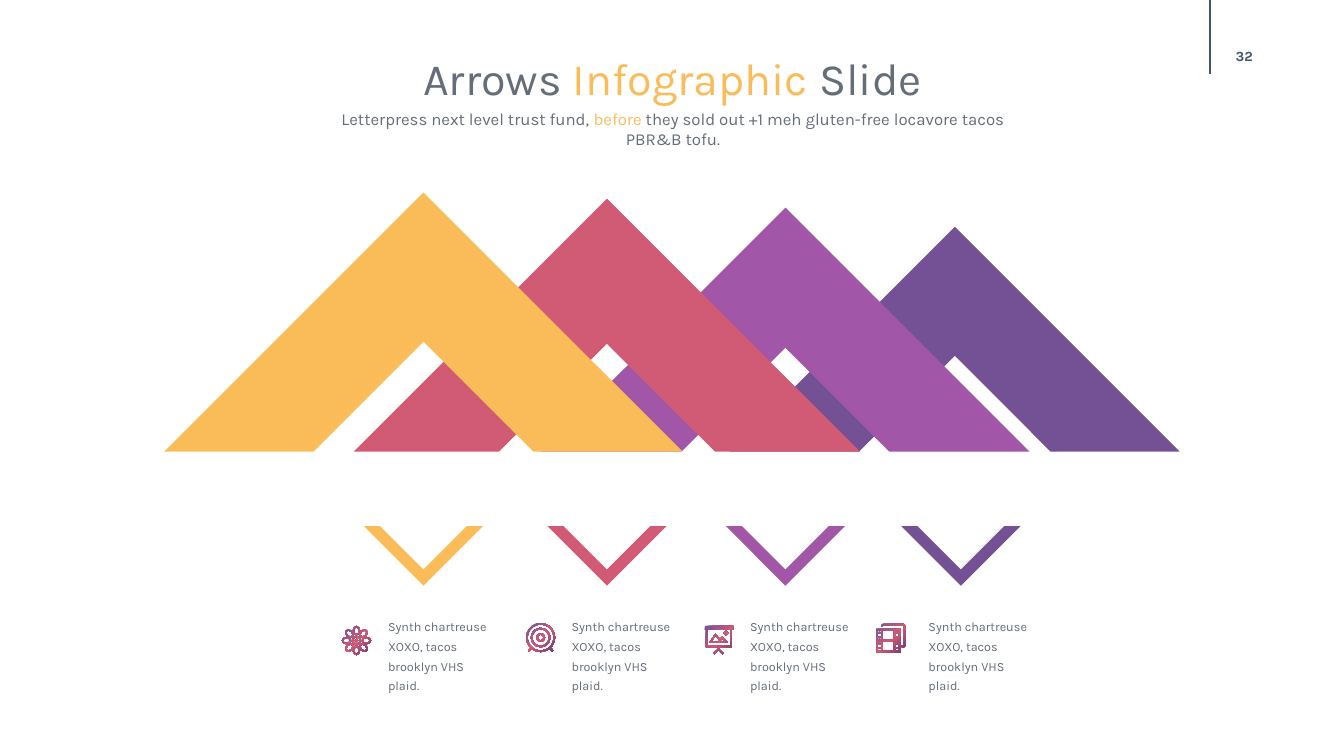
"""Build the arrows infographic slide and save it."""
from dataclasses import dataclass
from math import cos, pi, sin

from lxml.etree import SubElement
from pptx import Presentation
from pptx.dml.color import RGBColor
from pptx.enum.shapes import MSO_CONNECTOR
from pptx.enum.text import MSO_ANCHOR, MSO_AUTO_SIZE, PP_ALIGN
from pptx.oxml import parse_xml
from pptx.oxml.ns import nsdecls, qn
from pptx.util import Pt

Point = tuple[float, float]
Contour = list[Point]

PX = 9144
FONT = "Karla"
GRAY = RGBColor(0x65, 0x6D, 0x78)
SLATE = RGBColor(0x44, 0x54, 0x6A)
YELLOW = RGBColor(0xFA, 0xBC, 0x59)
ROSE = RGBColor(0xD1, 0x5B, 0x75)
ORCHID = RGBColor(0xA1, 0x56, 0xA8)
VIOLET = RGBColor(0x74, 0x51, 0x95)
PLUM = RGBColor(0x6C, 0x3A, 0x71)

MOUNTAIN_BASE = 448
CHEVRON_BASE, CHEVRON_OUTER, CHEVRON_INNER = 522, 59, 43
CAPTION = "Synth chartreuse XOXO, tacos brooklyn VHS plaid."


@dataclass
class Item:
    """One mountain with its chevron, icon and caption."""
    color: RGBColor
    peak_x: int
    outer: int
    inner: int
    chevron_x: int
    icon_x: int
    icon_y: int
    text_x: int
    icon: list[Contour]


def oval(cx: float, cy: float, rx: float, ry: float, turn: float = 0,
         steps: int = 8) -> Contour:
    """Return the outline of an ellipse turned by an angle."""
    angles = [2 * pi * i / steps for i in range(steps)]
    return [(cx + rx * cos(a) * cos(turn) - ry * sin(a) * sin(turn),
             cy + rx * cos(a) * sin(turn) + ry * sin(a) * cos(turn)) for a in angles]


def ring(cx: float, cy: float, outer: float, inner: float, steps: int) -> list[Contour]:
    """Return the two outlines of a ring."""
    return [oval(cx, cy, r, r, steps=steps) for r in (outer, inner)]


def box(x: float, y: float, w: float, h: float) -> Contour:
    """Return the outline of a rectangle."""
    return [(x, y), (x + w, y), (x + w, y + h), (x, y + h)]


def flower() -> list[Contour]:
    """Return a flower with eight petals, in tenths of a px."""
    petals = [oval(145 + 98 * cos(a), 145 + 98 * sin(a), rx, ry, a)
              for a in (i * pi / 4 for i in range(8))
              for rx, ry in ((47, 37), (33, 23))]
    return petals + ring(145, 145, 46, 31, 10) + [oval(145, 145, 17, 17)]


def target() -> list[Contour]:
    """Return a target on two legs, in tenths of a px."""
    leg = [(34, 252), (18, 274), (30, 286), (48, 264)]
    return (ring(142, 145, 144, 128, 20) + ring(142, 145, 97, 81, 16)
            + ring(142, 145, 44, 27, 12) + [leg, [(284 - x, y) for x, y in leg]])


def screen() -> list[Contour]:
    """Return a presentation screen on a tripod, in tenths of a px."""
    tripod = [(128, 220), (144, 220), (144, 240), (185, 280), (175, 290),
              (136, 252), (97, 290), (87, 280), (128, 240)]
    hills = [(45, 175), (105, 85), (150, 140), (175, 115), (230, 175)]
    hollow = [(70, 160), (105, 110), (150, 160), (175, 137), (195, 160)]
    return [box(0, 10, 280, 40), box(15, 25, 250, 10),
            box(10, 50, 260, 170), box(26, 50, 228, 154),
            tripod, hills, hollow] + ring(210, 80, 22, 9, 8)


def film() -> list[Contour]:
    """Return a film frame before a sheet, in tenths of a px."""
    sheet = [(50, 30), (50, 15), (65, 0), (275, 0), (290, 15), (290, 215), (275, 230),
             (255, 230), (255, 215), (274, 215), (274, 16), (66, 16), (66, 30)]
    panes = [box(x, y, w, 92) for x, w in ((16, 34), (65, 110), (190, 34))
             for y in (65, 172)]
    holes = [box(x, y, 14, 18) for x in (26, 200) for y in (78, 122, 185, 229)]
    return [sheet, box(0, 50, 240, 230)] + panes + holes


ITEMS = [
    Item(YELLOW, 420, 257, 109, 420, 339, 621, 375, flower()),
    Item(ROSE, 602, 251, 107, 602, 522, 618, 557, target()),
    Item(ORCHID, 779, 242, 103, 779, 699, 620, 734, screen()),
    Item(VIOLET, 947, 223, 95, 953, 869, 619, 911, film()),
]


def add_outline(slide, contours: list[Contour], scale: float, x: int = 0, y: int = 0):
    """Draw closed contours as one freeform without a line."""
    fb = slide.shapes.build_freeform(*contours[0][0], scale=scale)
    for i, pts in enumerate(contours):
        if i:
            fb.move_to(*pts[0])
        fb.add_line_segments(pts[1:], close=True)
    sp = fb.convert_to_shape(x * PX, y * PX)
    sp.shadow.inherit = False
    sp.line.fill.background()
    return sp


def add_chevron(slide, x: int, base: int, outer: int, inner: int, way: int,
                color: RGBColor) -> None:
    """Draw a right-angled chevron that points up (-1) or down (1)."""
    pts = [(x, base + way * outer), (x + outer, base), (x + inner, base),
           (x, base + way * inner), (x - inner, base), (x - outer, base)]
    sp = add_outline(slide, [pts], PX)
    sp.fill.solid()
    sp.fill.fore_color.rgb = color


def add_icon(slide, item: Item) -> None:
    """Draw an icon with a radial gradient."""
    sp = add_outline(slide, item.icon, PX / 10, item.icon_x, item.icon_y)
    stops = "".join(f'<a:gs pos="{pos}"><a:srgbClr val="{color}"/></a:gs>'
                    for pos, color in ((0, PLUM), (48000, ROSE), (100000, VIOLET)))
    grad = parse_xml(f'<a:gradFill {nsdecls("a")}><a:gsLst>{stops}</a:gsLst>'
                     '<a:path path="circle"><a:fillToRect l="100000" t="100000"/>'
                     '</a:path></a:gradFill>')
    sp.fill.background()
    old = sp._element.spPr.find(qn("a:noFill"))
    sp._element.spPr.replace(old, grad)


def write(sp, runs: list[tuple[str, RGBColor]], *, size: int, bold: bool = False,
          align: PP_ALIGN = PP_ALIGN.CENTER, spacing: float = 1.0,
          anchor: MSO_ANCHOR = MSO_ANCHOR.TOP) -> None:
    """Fill a shape with one paragraph of coloured runs."""
    tf = sp.text_frame
    tf.word_wrap = True
    tf.auto_size = MSO_AUTO_SIZE.NONE
    tf.vertical_anchor = anchor
    p = tf.paragraphs[0]
    p.alignment = align
    p.line_spacing = spacing
    for text, color in runs:
        r = p.add_run()
        r.text = text
        r.font.name = FONT
        r.font.size = Pt(size)
        r.font.bold = bold
        r.font.color.rgb = color


def add_text(slide, x: int, y: int, w: int, h: int, runs: list[tuple[str, RGBColor]],
             **style) -> None:
    """Add a text box."""
    write(slide.shapes.add_textbox(x * PX, y * PX, w * PX, h * PX), runs, **style)


def main() -> None:
    """Compose the slide."""
    prs = Presentation()
    prs.slide_width, prs.slide_height = 1333 * PX, 750 * PX
    slide = prs.slides.add_slide(prs.slide_layouts[5])

    rule = slide.shapes.add_connector(MSO_CONNECTOR.STRAIGHT, 1200 * PX, 0,
                                      1200 * PX, 73 * PX)
    rule.line.color.rgb = SLATE
    rule.line.width = Pt(1)
    SubElement(rule._element.spPr, qn("a:effectLst"))
    add_text(slide, 1194, 36, 80, 40, [("32", SLATE)], size=10, bold=True,
             anchor=MSO_ANCHOR.MIDDLE)

    title = slide.shapes.title
    title.left, title.top, title.width, title.height = (
        v * PX for v in (254, 45, 826, 64))
    write(title, [("Arrows ", GRAY), ("Infographic ", YELLOW), ("Slide", GRAY)], size=32)
    add_text(slide, 320, 103, 695, 50,
             [("Letterpress next level trust fund, ", GRAY), ("before", YELLOW),
              (" they sold out +1 meh gluten-free locavore tacos PBR&B tofu.", GRAY)],
             size=12)

    for item in reversed(ITEMS):
        add_chevron(slide, item.peak_x, MOUNTAIN_BASE, item.outer, item.inner, -1,
                    item.color)
    for item in ITEMS:
        add_chevron(slide, item.chevron_x, CHEVRON_BASE, CHEVRON_OUTER, CHEVRON_INNER, 1,
                    item.color)
        add_text(slide, item.text_x, 605, 125, 90, [(CAPTION, GRAY)], size=9,
                 align=PP_ALIGN.LEFT, spacing=1.3)
        add_icon(slide, item)
    prs.save("out.pptx")


if __name__ == "__main__":
    main()
